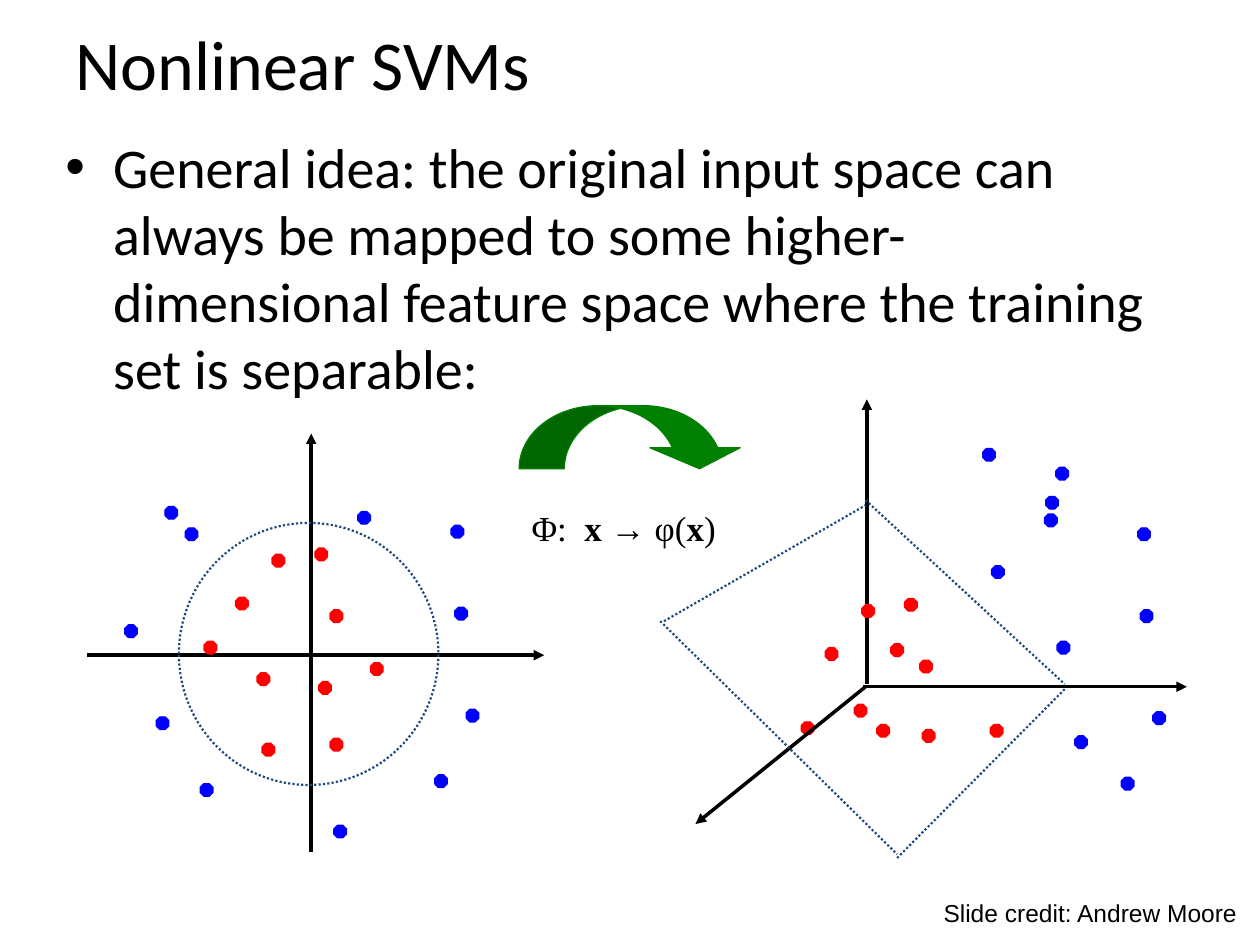
from dataclasses import dataclass

from lxml.etree import SubElement
from pptx import Presentation
from pptx.dml.color import RGBColor
from pptx.enum.dml import MSO_LINE
from pptx.enum.shapes import MSO_CONNECTOR, MSO_SHAPE
from pptx.enum.text import MSO_ANCHOR, MSO_AUTO_SIZE, PP_ALIGN
from pptx.oxml.ns import qn
from pptx.util import Inches, Pt

COLUMNS, ROWS = 10, 7.5
DOT_SIZE = 0.1


@dataclass(frozen=True)
class Theme:
    ink: RGBColor = RGBColor(0x00, 0x00, 0x00)
    inner: RGBColor = RGBColor(0xFF, 0x00, 0x00)
    outer: RGBColor = RGBColor(0x00, 0x00, 0xFF)
    boundary: RGBColor = RGBColor(0x1F, 0x49, 0x7D)
    mapping: RGBColor = RGBColor(0x00, 0x80, 0x00)
    text_font: str = "Calibri"
    formula_font: str = "Times New Roman"
    credit_font: str = "Arial"
    title_size: int = 40
    body_size: int = 32
    formula_size: int = 20
    credit_size: int = 14
    axis_width: float = 2
    boundary_width: float = 1.25
    outline_width: float = 0.75


class SlideBuilder:
    """Draws on one slide; lengths are grid columns and rows."""

    def __init__(self, deck, theme):
        self.theme = theme
        self.page = deck.slides.add_slide(deck.slide_layouts[5])
        self.column = deck.slide_width / COLUMNS
        self.row = deck.slide_height / ROWS

    def place(self, *lengths):
        steps = (self.column, self.row) * 2
        return [round(length * step) for length, step in zip(lengths, steps)]

    def style_text(self, para, font, size):
        for span in para.runs:
            span.font.name = font
            span.font.size = Pt(size)
            span.font.color.rgb = self.theme.ink

    def title(self, text, area):
        box = self.page.shapes.title
        box.left, box.top, box.width, box.height = self.place(*area)
        box.text_frame.text = text
        box.text_frame.vertical_anchor = MSO_ANCHOR.MIDDLE
        para = box.text_frame.paragraphs[0]
        para.alignment = PP_ALIGN.LEFT
        self.style_text(para, self.theme.text_font, self.theme.title_size)

    def text(self, spans, area, font, size, wrap=True):
        """Each span is a (text, bold) pair."""
        box = self.page.shapes.add_textbox(*self.place(*area))
        box.text_frame.word_wrap = wrap
        box.text_frame.auto_size = MSO_AUTO_SIZE.NONE
        para = box.text_frame.paragraphs[0]
        for words, bold in spans:
            span = para.add_run()
            span.text = words
            span.font.bold = bold
        self.style_text(para, font, size)
        return para

    def bullet(self, text, area, indent):
        para = self.text([(text, False)], area, self.theme.text_font, self.theme.body_size)
        properties = para._p.get_or_add_pPr()
        properties.set("marL", str(Inches(indent)))
        properties.set("indent", str(-Inches(indent)))
        SubElement(properties, qn("a:buFont")).set("typeface", "Arial")
        SubElement(properties, qn("a:buChar")).set("char", "•")

    def shape(self, kind, area, color, width, filled=True, adjust=()):
        shape = self.page.shapes.add_shape(kind, *self.place(*area))
        shape.shadow.inherit = False
        for index, value in enumerate(adjust):
            shape.adjustments[index] = value
        if filled:
            shape.fill.solid()
            shape.fill.fore_color.rgb = color
        else:
            shape.fill.background()
        shape.line.color.rgb = color
        shape.line.width = Pt(width)
        return shape

    def dots(self, corners, color):
        for left, top in corners:
            self.shape(MSO_SHAPE.OCTAGON, (left, top, DOT_SIZE, DOT_SIZE), color,
                       self.theme.outline_width, adjust=[0.293])

    def line(self, start, end, color, width):
        line = self.page.shapes.add_connector(
            MSO_CONNECTOR.STRAIGHT, *self.place(*start, *end))
        line.line.color.rgb = color
        line.line.width = Pt(width)
        SubElement(line._element.spPr, qn("a:effectLst"))
        return line

    def axis(self, start, end):
        line = self.line(start, end, self.theme.ink, self.theme.axis_width)
        SubElement(line.line._get_or_add_ln(), qn("a:tailEnd")).set("type", "triangle")

    def boundary_line(self, start, end):
        line = self.line(start, end, self.theme.boundary, self.theme.boundary_width)
        line.line.dash_style = MSO_LINE.ROUND_DOT

    def boundary_circle(self, area):
        circle = self.shape(MSO_SHAPE.OVAL, area, self.theme.boundary,
                            self.theme.boundary_width, filled=False)
        circle.line.dash_style = MSO_LINE.ROUND_DOT


# Top left corners of the data points
INPUT_INNER = [(2.5, 4.35), (1.87, 4.74), (2.04, 5.34), (2.62, 5.86), (2.16, 4.4),
               (1.62, 5.09), (2.08, 5.9), (2.62, 4.84), (2.94, 5.26), (2.53, 5.41)]
INPUT_OUTER = [(3.61, 4.82), (3.45, 6.15), (0.99, 4.96), (2.65, 6.55), (3.7, 5.63),
               (1.59, 6.22), (1.24, 5.69), (1.31, 4.02), (2.84, 4.06), (1.47, 4.19),
               (3.58, 4.17)]
FEATURE_INNER = [(7.18, 4.75), (6.55, 5.14), (6.96, 5.75), (7.86, 5.75), (6.84, 4.8),
                 (7.07, 5.11), (7.32, 5.79), (7.3, 5.24), (6.78, 5.59), (6.36, 5.73)]
FEATURE_OUTER = [(9.05, 4.84), (8.9, 6.17), (8.38, 3.71), (8.39, 5.09), (9.15, 5.65),
                 (7.87, 4.49), (8.53, 5.84), (8.3, 3.94), (8.29, 4.08), (7.8, 3.56),
                 (9.03, 4.19)]


def main():
    deck = Presentation()
    deck.slide_width, deck.slide_height = Inches(10), Inches(7.5)
    theme = Theme()
    slide = SlideBuilder(deck, theme)

    # Title and general idea
    slide.title("Nonlinear SVMs", (0.5, 0, 9, 1))
    slide.bullet("General idea: the original input space can always be mapped to some "
                 "higher-dimensional feature space where the training set is separable:",
                 (0.42, 1, 8.83, 5.75), 0.38)

    # Input space
    slide.axis((2.47, 6.76), (2.47, 3.44))
    slide.axis((0.69, 5.2), (4.32, 5.2))
    slide.dots(INPUT_INNER, theme.inner)
    slide.dots(INPUT_OUTER, theme.outer)
    slide.boundary_circle((1.42, 4.15, 2.06, 2.08))

    # Feature space
    slide.axis((6.88, 5.43), (6.88, 3.17))
    slide.axis((6.85, 5.45), (9.42, 5.45))
    slide.dots(FEATURE_INNER, theme.inner)
    slide.dots(FEATURE_OUTER, theme.outer)
    slide.axis((6.87, 5.45), (5.52, 6.54))
    for start, end in [((6.87, 3.97), (8.45, 5.43)), ((7.12, 6.81), (8.45, 5.47)),
                       ((5.27, 4.93), (6.87, 4.01)), ((5.24, 4.93), (7.12, 6.78))]:
        slide.boundary_line(start, end)

    # Mapping between the spaces
    slide.shape(MSO_SHAPE.CURVED_DOWN_ARROW, (4.12, 3.22, 1.79, 0.5), theme.mapping,
                theme.outline_width, adjust=[0.717, 1.433, 0.333])
    slide.text([("Φ:  ", False), ("x → ", True), ("φ(", False), ("x", True), (")", False)],
               (4.12, 3.97, 2.08, 0.43), theme.formula_font, theme.formula_size)

    # Credit
    slide.text([("Slide credit: Andrew Moore", False)], (7.39, 7.08, 2.53, 0.33),
               theme.credit_font, theme.credit_size, wrap=False)

    deck.save("out.pptx")


if __name__ == "__main__":
    main()
